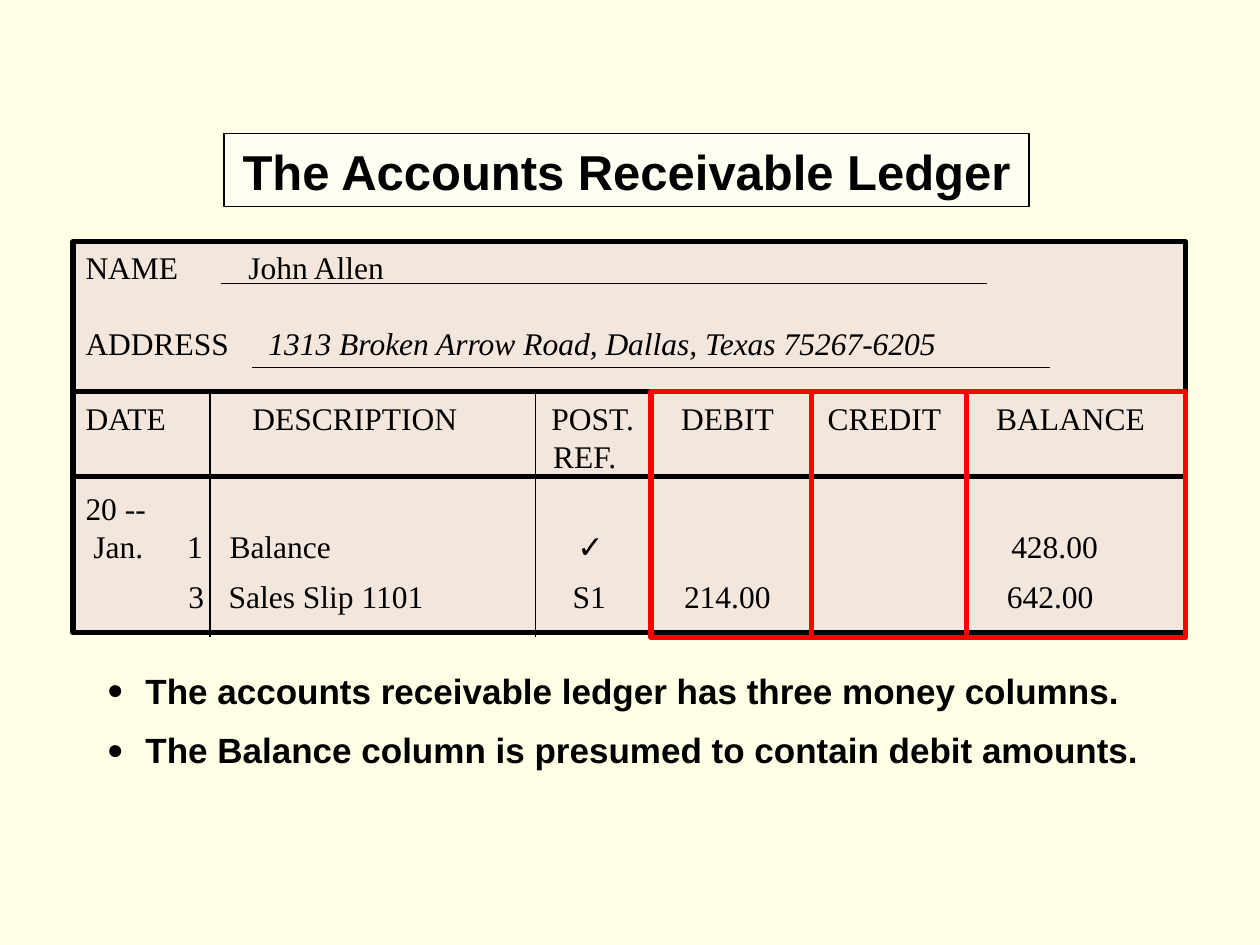
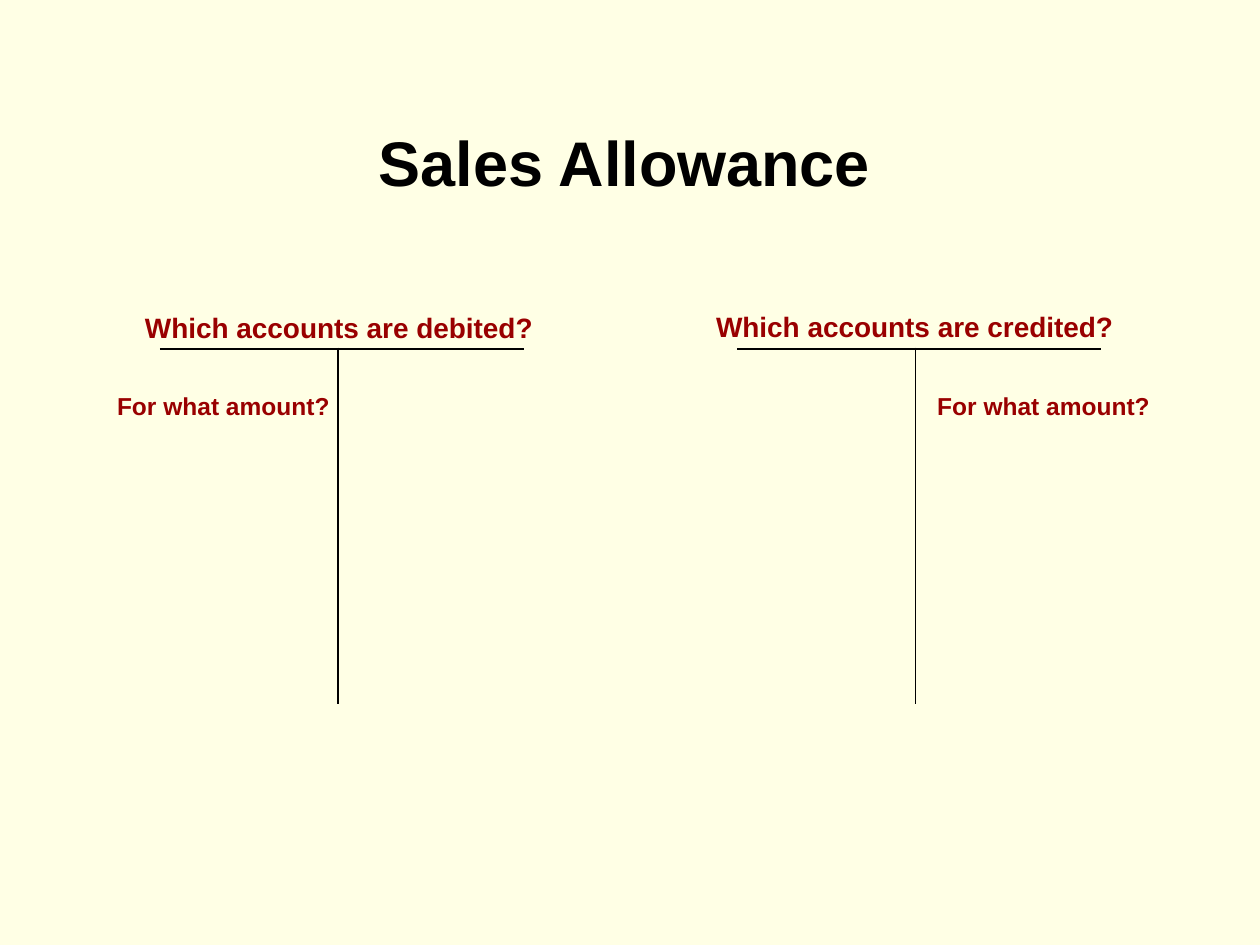
"""Builds two accounting slides: a receivable ledger and a pair of T accounts."""
import pptx
import pptx.dml.color
import pptx.enum.shapes
import pptx.enum.text
import pptx.oxml
import pptx.oxml.ns
import pptx.util
from lxml import etree

Pt = pptx.util.Pt
ALIGN = pptx.enum.text.PP_ALIGN
ANCHOR = pptx.enum.text.MSO_ANCHOR
qn = pptx.oxml.ns.qn

CREAM, WHITE, PARCHMENT = "FFFFE5", "FFFFFF", "F3E6DD"
BLACK, RED, MAROON = "000000", "FF0000", "990000"
SANS, SERIF = "Arial", "Times New Roman"
LEADING = {SANS: 1.24, SERIF: 1.2}
INSET = 7.2

LEDGER_LEFT, LEDGER_RIGHT = 41.8, 677.5
LEDGER_TOP, LEDGER_BOTTOM = 138.2, 361.4
HEADER_TOP, HEADER_BOTTOM = 223.6, 272.2
MONEY_EDGES = [372, 463.7, 552.2, LEDGER_RIGHT]
COLUMNS_BOTTOM = 364.2


def color(hex_string):
    """Turn a hex string into a colour."""
    return pptx.dml.color.RGBColor.from_string(hex_string)


def new_slide(deck):
    """Add a blank slide with the shared background."""
    slide = deck.slides.add_slide(deck.slide_layouts[6])
    slide.background.fill.solid()
    slide.background.fill.fore_color.rgb = color(CREAM)
    return slide


def rule(slide, x1, y1, x2, y2, weight):
    """Draw a straight black line without shadow."""
    line = slide.shapes.add_connector(
        pptx.enum.shapes.MSO_CONNECTOR.STRAIGHT, Pt(x1), Pt(y1), Pt(x2), Pt(y2))
    line.line.color.rgb = color(BLACK)
    line.line.width = Pt(weight)
    etree.SubElement(line._element.spPr, qn("a:effectLst"))


def panel(slide, left, top, width, height, fill, border, weight, opacity=100):
    """Draw a bordered rectangle, hollow when fill is None."""
    box = slide.shapes.add_shape(
        pptx.enum.shapes.MSO_SHAPE.RECTANGLE, Pt(left), Pt(top), Pt(width), Pt(height))
    box.shadow.inherit = False
    if fill is None:
        box.fill.background()
    else:
        box.fill.solid()
        box.fill.fore_color.rgb = color(fill)
        if opacity < 100:
            tint = box.fill._xPr.find(qn("a:solidFill"))[0]
            etree.SubElement(tint, qn("a:alpha")).set("val", str(opacity * 1000))
    box.line.color.rgb = color(border)
    box.line.width = Pt(weight)
    return box


def text_box(slide, left, top, width, height, wrap=True):
    """Add an empty text box."""
    box = slide.shapes.add_textbox(Pt(left), Pt(top), Pt(width), Pt(height))
    box.text_frame.word_wrap = wrap
    return box


def add_run(paragraph, text, size, face, ink=BLACK, bold=False, italic=False):
    """Add one styled run and keep the line pitch of its font."""
    run = paragraph.add_run()
    run.text = text
    run.font.size, run.font.name = Pt(size), face
    run.font.bold, run.font.italic = bold, italic
    run.font.color.rgb = color(ink)
    if paragraph.line_spacing is None:
        paragraph.line_spacing = Pt(round(size * LEADING[face], 1))


def label(box, text, size, ink=BLACK, align=ALIGN.LEFT, anchor=ANCHOR.TOP):
    """Write one bold sans line in a box."""
    box.text_frame.vertical_anchor = anchor
    paragraph = box.text_frame.paragraphs[0]
    paragraph.alignment = align
    add_run(paragraph, text, size, SANS, ink, bold=True)


def set_tabs(paragraph, stops):
    """Give a paragraph left tab stops, in points from the text edge."""
    tabs = etree.SubElement(paragraph._p.get_or_add_pPr(), qn("a:tabLst"))
    for stop in stops:
        tab = etree.SubElement(tabs, qn("a:tab"))
        tab.set("pos", str(int(Pt(stop))))
        tab.set("algn", "l")


def ledger_lines(box, left, lines):
    """Write serif ledger lines; each has slide tab positions, a gap and runs."""
    frame = box.text_frame
    frame.vertical_anchor = ANCHOR.TOP
    for index, (stops, gap, runs) in enumerate(lines):
        paragraph = frame.paragraphs[0] if index == 0 else frame.add_paragraph()
        paragraph.alignment = ALIGN.LEFT
        set_tabs(paragraph, [stop - left - INSET for stop in stops])
        if gap:
            paragraph.space_before = Pt(gap)
        for text, style in runs:
            add_run(paragraph, text, 18, **{"face": SERIF, **style})


def bullet(slide, top, text):
    """Add a bold bulleted statement."""
    box = text_box(slide, 54, top, 624, 31.7)
    properties = box.text_frame.paragraphs[0]._p.get_or_add_pPr()
    properties.set("marL", str(int(Pt(22))))
    properties.set("indent", str(int(Pt(-22))))
    ink = etree.SubElement(properties, qn("a:buClr"))
    etree.SubElement(ink, qn("a:srgbClr")).set("val", BLACK)
    etree.SubElement(properties, qn("a:buSzPct")).set("val", "80000")
    etree.SubElement(properties, qn("a:buFont")).set("typeface", SANS)
    etree.SubElement(properties, qn("a:buChar")).set("char", "●")
    label(box, text, 20)


def t_account(slide, left, stem):
    """Draw the bar and stem of a T account."""
    rule(slide, left, 199.4, left + 208, 199.4, 0.75)
    rule(slide, stem, 198.7, stem, 402.3, 0.75)


def ledger_slide(deck):
    """Build the accounts receivable ledger."""
    slide = new_slide(deck)
    title = panel(slide, 128, 76.3, 460, 41.8, WHITE, BLACK, 0.75, opacity=50)
    label(title, "The Accounts Receivable Ledger", 28, align=ALIGN.CENTER)

    width = LEDGER_RIGHT - LEDGER_LEFT
    ledger = panel(slide, LEDGER_LEFT, LEDGER_TOP, width,
                   LEDGER_BOTTOM - LEDGER_TOP, PARCHMENT, BLACK, 3)
    ledger_lines(ledger, LEDGER_LEFT, [
        ([142], 0, [("NAME\tJohn Allen", {})]),
        ([153.5], 21.6, [
            ("ADDRESS\t", {}),
            ("1313 Broken Arrow Road, Dallas, Texas 75267-6205", {"italic": True})]),
        ([144.4, 315.2, 389.4, 473, 569.4], 21.6,
         [("DATE\tDESCRIPTION\tPOST.\tDEBIT\tCREDIT\tBALANCE", {})]),
        ([316.2], 0, [("\tREF.", {})]),
    ])
    rule(slide, 126, 162, 563.8, 162, 1)
    rule(slide, 144, 210, 600, 210, 1)
    for y in (HEADER_TOP, HEADER_BOTTOM):
        rule(slide, LEDGER_LEFT, y, LEDGER_RIGHT, y, 3)
    for x, weight in [(120, 1), (306, 1)] + [(edge, 3) for edge in MONEY_EDGES[:-1]]:
        rule(slide, x, 224.5, x, COLUMNS_BOTTOM, weight)

    opening = text_box(slide, LEDGER_LEFT, 275.8, width, 50.4)
    ledger_lines(opening, LEDGER_LEFT, [
        ([], 0, [("20 --", {})]),
        ([53.5, 107, 131.3, 330, 578], 0, [
            ("\tJan.\t1\tBalance\t", {}), ("✓", {"face": SANS}), ("\t428.00", {})]),
    ])
    for top, statement in (
            (378, "The accounts receivable ledger has three money columns."),
            (412, "The Balance column is presumed to contain debit amounts.")):
        bullet(slide, top, statement)
    for left, right in zip(MONEY_EDGES, MONEY_EDGES[1:]):
        panel(slide, left, HEADER_TOP, right - left,
              COLUMNS_BOTTOM - HEADER_TOP, None, RED, 3)

    sale_left = 97.2
    sale = text_box(slide, sale_left, 326.2, 620, 28.8)
    ledger_lines(sale, sale_left, [
        ([107.8, 130.8, 327.3, 391, 575.5], 0,
         [("\t3\tSales Slip 1101\tS1\t214.00\t642.00", {})])])


def allowance_slide(deck):
    """Build the two T accounts with their questions."""
    slide = new_slide(deck)
    label(text_box(slide, 209.5, 63.4, 304.6, 56.2),
          "Sales Allowance", 36, anchor=ANCHOR.MIDDLE)
    t_account(slide, 91.4, 193.2)
    t_account(slide, 421.3, 523.1)
    for left, top, width, question in (
            (75.6, 173.5, 236.2, "Which accounts are debited?"),
            (384.5, 172.8, 276.5, "Which accounts are credited?")):
        label(text_box(slide, left, top, width, 26.6, wrap=False),
              question, 16, MAROON, ALIGN.CENTER)
    for left in (59.8, 528.5):
        label(text_box(slide, left, 219.6, 136, 24.5, wrap=False),
              "For what amount?", 14, MAROON)


def main():
    """Build and save the deck."""
    deck = pptx.Presentation()
    deck.slide_width, deck.slide_height = Pt(720), Pt(540)
    ledger_slide(deck)
    allowance_slide(deck)
    deck.save("out.pptx")


if __name__ == "__main__":
    main()
